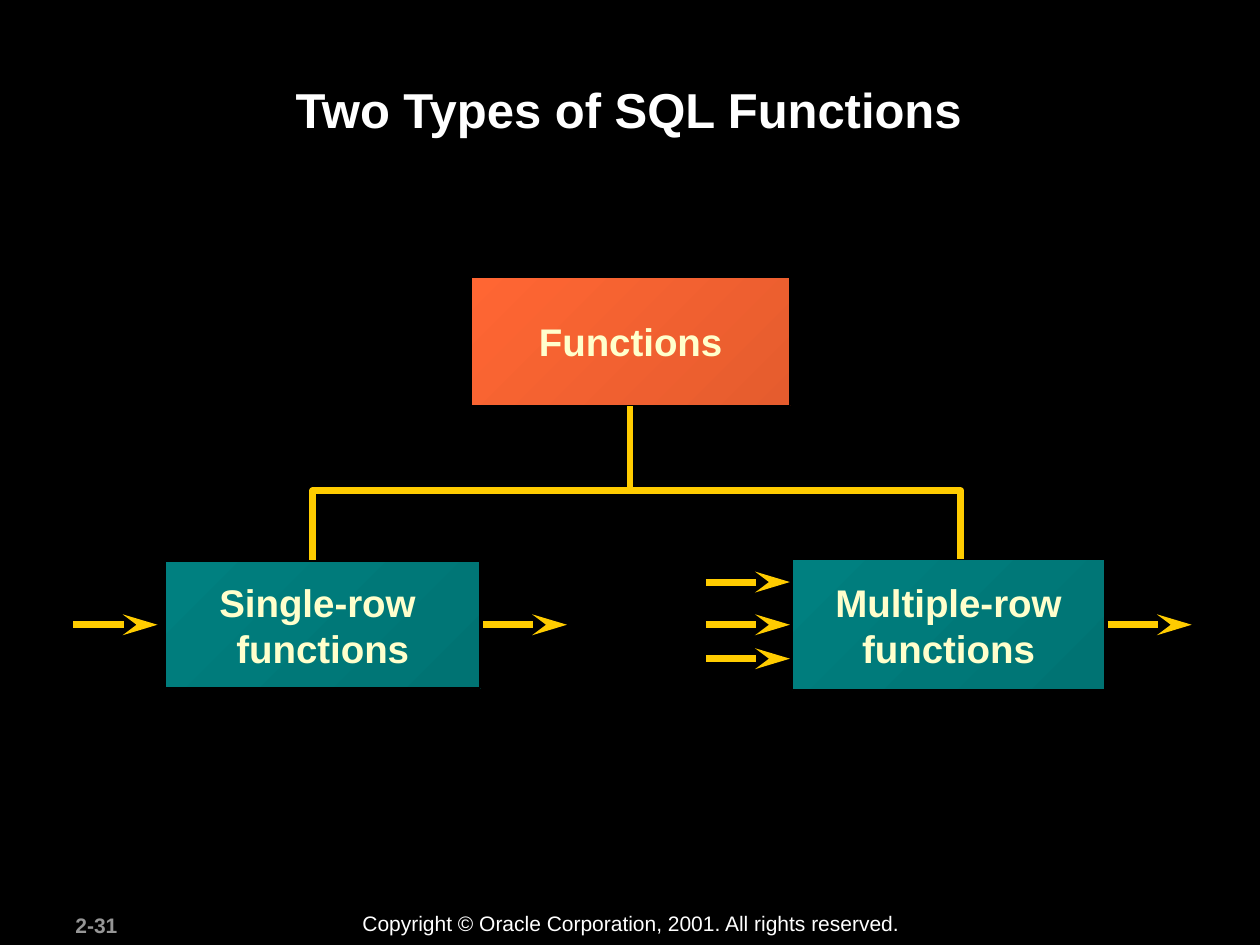
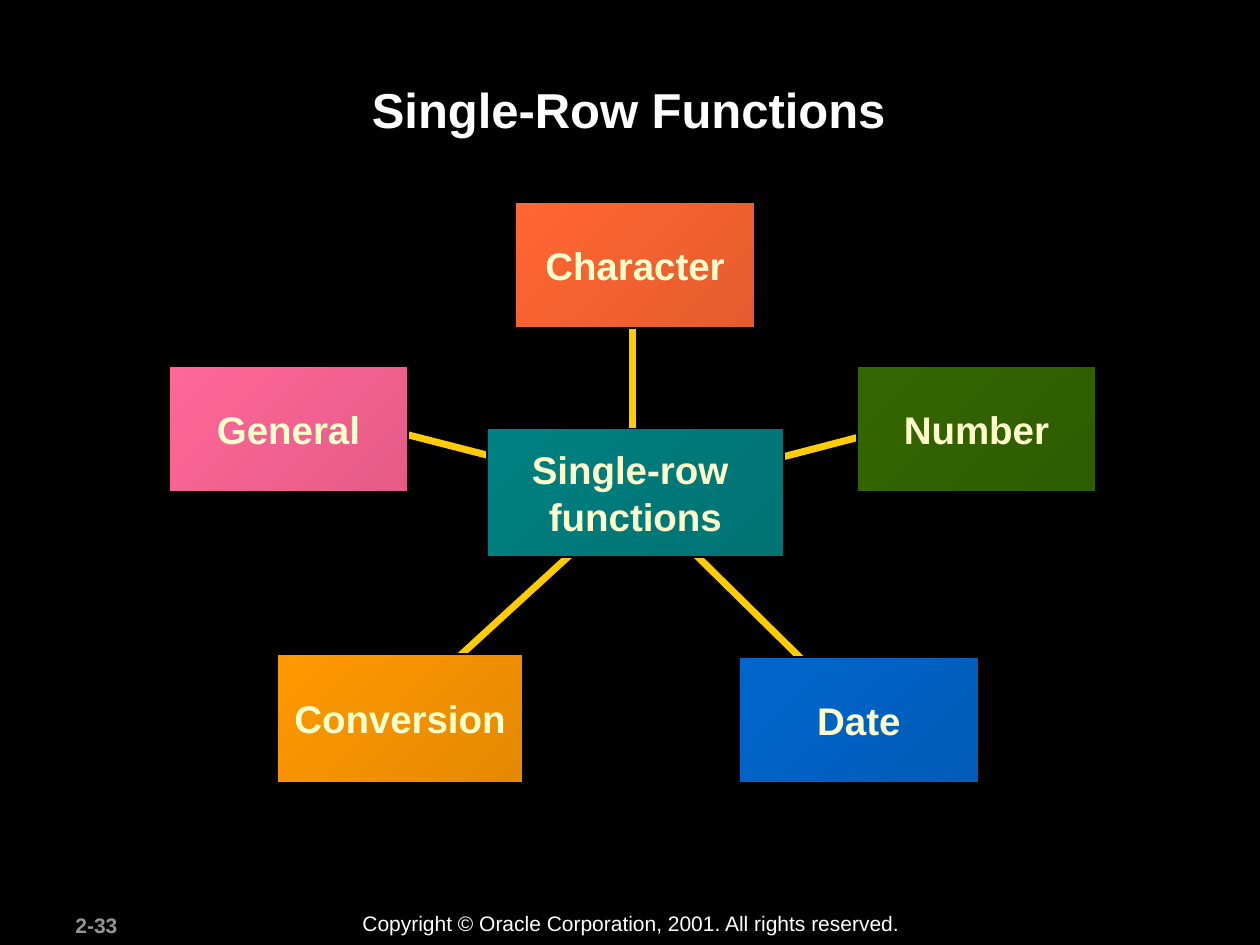
from dataclasses import dataclass

from lxml.etree import SubElement
from pptx import Presentation
from pptx.dml.color import RGBColor
from pptx.enum.shapes import MSO_CONNECTOR as Conn, MSO_SHAPE as Shape
from pptx.enum.text import MSO_ANCHOR as Anchor, PP_ALIGN as Align
from pptx.oxml.ns import qn
from pptx.slide import Slide
from pptx.text.text import TextFrame
from pptx.util import Pt

FONT = "Arial"
BLACK, WHITE, GREY = "000000", "FFFFFF", "969696"
CREAM, GOLD = "FFFFCC", "FFCC00"
CORAL, TEAL, ORANGE = "FF6633", "008080", "FF9900"
GREEN, BLUE, PINK = "336600", "0066CC", "FF6699"
LINE_WIDTH = 4
ARROW_LENGTH = 48
COPYRIGHT = "Copyright © Oracle Corporation, 2001. All rights reserved."


@dataclass(frozen=True)
class Box:
    text: str
    color: str
    left: float
    top: float
    width: float = 136.8
    height: float = 72


@dataclass(frozen=True)
class Line:
    x1: float
    y1: float
    x2: float
    y2: float
    arrow: bool = False


def rgb(color: str) -> RGBColor:
    return RGBColor.from_string(color)


def darker(color: str) -> str:
    """Return the shade that ends a box gradient."""
    return "".join(f"{round(c * 0.898):02X}" for c in rgb(color))


def write(tf: TextFrame, text: str, *, size: float, color: str, bold: bool = False,
          align: Align = Align.LEFT, anchor: Anchor = Anchor.TOP,
          wrap: bool = True) -> None:
    """Fill a text frame, one paragraph for each line of text."""
    tf.word_wrap = wrap
    tf.vertical_anchor = anchor
    for i, line in enumerate(text.split("\n")):
        p = tf.add_paragraph() if i else tf.paragraphs[0]
        p.alignment = align
        r = p.add_run()
        r.text = line
        r.font.name, r.font.size, r.font.bold = FONT, Pt(size), bold
        r.font.color.rgb = rgb(color)


def add_label(s: Slide, text: str, left: float, top: float, width: float,
              height: float, **fmt) -> None:
    sp = s.shapes.add_textbox(Pt(left), Pt(top), Pt(width), Pt(height))
    write(sp.text_frame, text, **fmt)


def add_box(s: Slide, box: Box) -> None:
    sp = s.shapes.add_shape(Shape.RECTANGLE, Pt(box.left), Pt(box.top),
                            Pt(box.width), Pt(box.height))
    sp.shadow.inherit = False
    sp.fill.gradient()
    sp.fill.gradient_angle = 315
    for stop, color in zip(sp.fill.gradient_stops, (box.color, darker(box.color))):
        stop.color.rgb = rgb(color)
    sp.line.color.rgb = rgb(BLACK)
    sp.line.width = Pt(1)
    write(sp.text_frame, box.text, size=22, color=CREAM, bold=True,
          align=Align.CENTER, anchor=Anchor.MIDDLE, wrap=False)


def add_line(s: Slide, line: Line) -> None:
    cxn = s.shapes.add_connector(Conn.STRAIGHT, Pt(line.x1), Pt(line.y1),
                                 Pt(line.x2), Pt(line.y2))
    cxn.line.color.rgb = rgb(GOLD)
    cxn.line.width = Pt(LINE_WIDTH)
    if line.arrow:
        SubElement(cxn.line._get_or_add_ln(), qn("a:tailEnd"),
                   type="stealth", w="med", len="lg")
    SubElement(cxn._element.spPr, qn("a:effectLst"))


def add_bracket(s: Slide, points: list[tuple[float, float]]) -> None:
    """Draw an open outline through the points."""
    start, *rest = [(Pt(x), Pt(y)) for x, y in points]
    builder = s.shapes.build_freeform(*start)
    builder.add_line_segments(rest, close=False)
    sp = builder.convert_to_shape()
    sp.shadow.inherit = False
    sp.fill.background()
    sp.line.color.rgb = rgb(GOLD)
    sp.line.width = Pt(LINE_WIDTH)


def add_slide(prs: Presentation, title: str, number: str) -> Slide:
    """Add a slide with background, title and footer."""
    s = prs.slides.add_slide(prs.slide_layouts[6])
    s.background.fill.solid()
    s.background.fill.fore_color.rgb = rgb(BLACK)
    add_label(s, number, 36, 517.7, 75.6, 21.6, size=12, color=GREY, bold=True)
    add_label(s, COPYRIGHT, 200, 517, 322.6, 21.6, size=12, color=WHITE)
    add_label(s, title, 67.7, 41.8, 583.2, 69.1, size=28, color=WHITE, bold=True,
              align=Align.CENTER)
    return s


def build_two_types(prs: Presentation) -> None:
    s = add_slide(prs, "Two Types of SQL Functions", "2-31")
    add_line(s, Line(360, 282, 360, 231))
    add_bracket(s, [(178.6, 320), (178.6, 280.5), (549, 280.5), (549, 322.5)])
    boxes = [
        Box("Functions", CORAL, 269.3, 158.4, 182.2, 73.4),
        Box("Single-row \nfunctions", TEAL, 94.5, 320.6, 180, 72.7),
        Box("Multiple-row\nfunctions", TEAL, 452.9, 319.7, 178.4, 74.7),
    ]
    for box in boxes:
        add_box(s, box)
    single_row = [(42, 357), (276, 357)]
    multiple_row = [(403.4, y) for y in (332.6, 357, 376.4)] + [(633, 357)]
    for x, y in single_row + multiple_row:
        add_line(s, Line(x, y, x + ARROW_LENGTH, y, arrow=True))


def build_single_row(prs: Presentation) -> None:
    s = add_slide(prs, "Single-Row Functions", "2-33")
    spokes = [
        Line(361.5, 283, 361.5, 171.4),
        Line(362, 281.5, 207.4, 241.9),
        Line(363, 283, 521.3, 241.9),
        Line(363, 283, 225.4, 409),
        Line(363, 283, 494.6, 412.6),
    ]
    for spoke in spokes:
        add_line(s, spoke)
    boxes = [
        Box("Conversion", ORANGE, 158.4, 373.9, 140.4, 73.4),
        Box("Character", CORAL, 294.5, 115.6),
        Box("Number", GREEN, 489.6, 209),
        Box("Date", BLUE, 422.4, 375.5),
        Box("General", PINK, 96.5, 209),
        Box("Single-row \nfunctions", TEAL, 278.3, 244.8, 169.6, 73.4),
    ]
    for box in boxes:
        add_box(s, box)


def main() -> None:
    prs = Presentation()
    prs.slide_width, prs.slide_height = Pt(720), Pt(540)
    build_two_types(prs)
    build_single_row(prs)
    prs.save("out.pptx")


if __name__ == "__main__":
    main()
